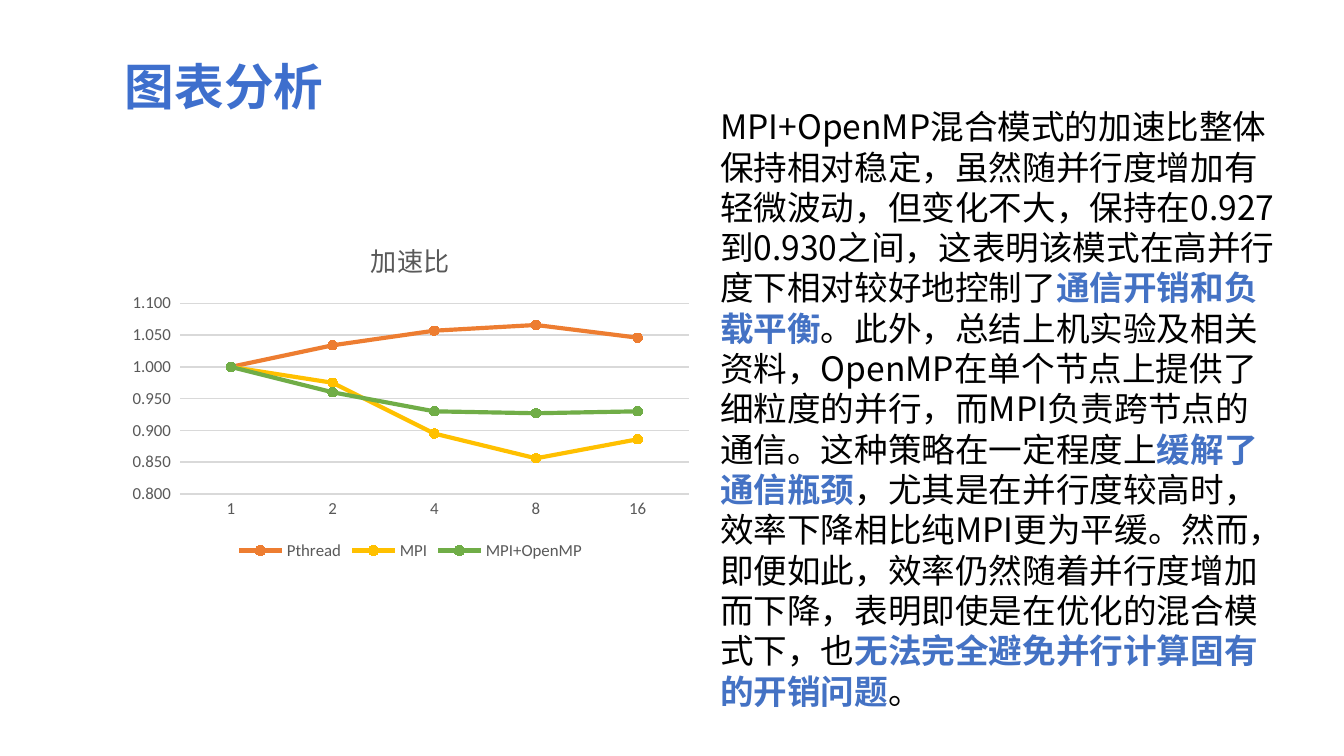
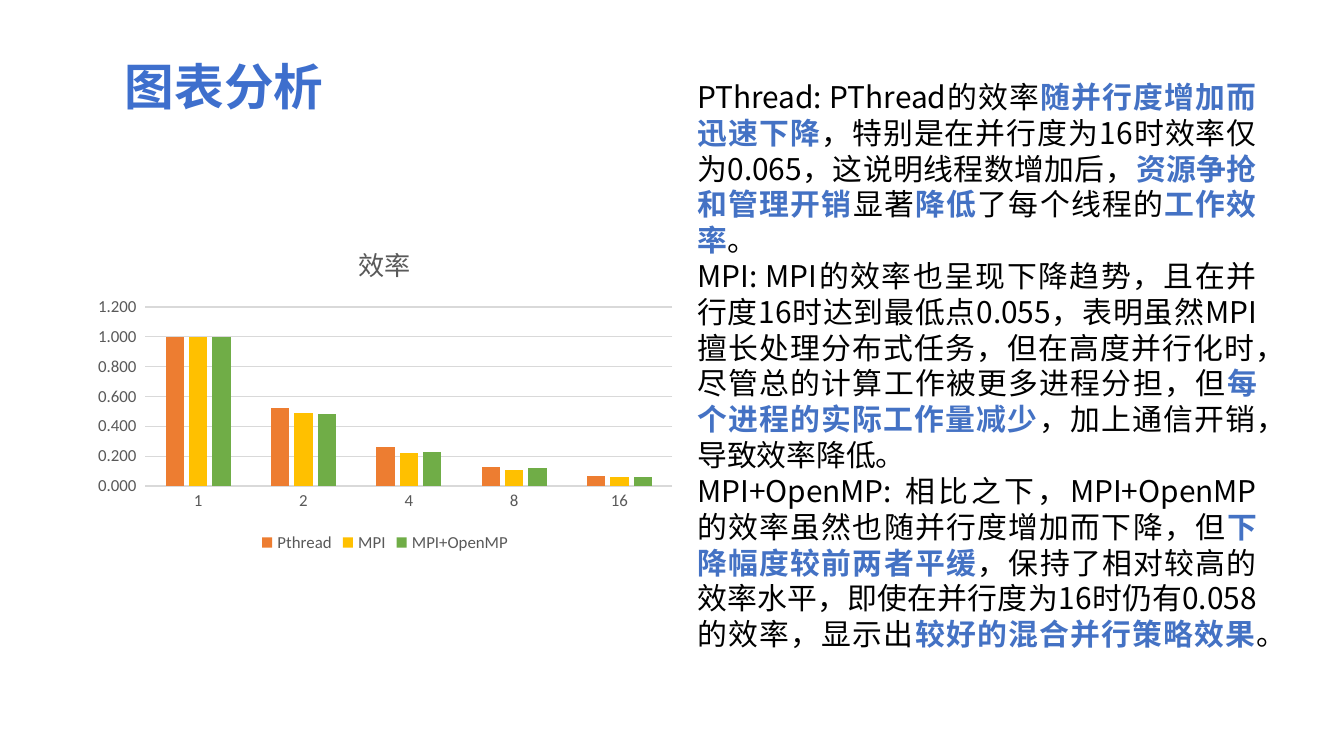
from dataclasses import dataclass

from lxml import etree
from pptx import Presentation
from pptx.chart.data import CategoryChartData
from pptx.dml.color import RGBColor
from pptx.enum.chart import XL_CHART_TYPE, XL_LEGEND_POSITION, XL_MARKER_STYLE, XL_TICK_MARK
from pptx.enum.text import MSO_ANCHOR, MSO_AUTO_SIZE, PP_ALIGN
from pptx.oxml.ns import qn
from pptx.util import Emu, Pt

LINE = XL_CHART_TYPE.LINE_MARKERS
COLUMN = XL_CHART_TYPE.COLUMN_CLUSTERED
BOTTOM = XL_LEGEND_POSITION.BOTTOM
CIRCLE = XL_MARKER_STYLE.CIRCLE
NO_TICK = XL_TICK_MARK.NONE
TOP, MIDDLE = MSO_ANCHOR.TOP, MSO_ANCHOR.MIDDLE
LEFT, JUSTIFY = PP_ALIGN.LEFT, PP_ALIGN.JUSTIFY
FIXED, GROW = MSO_AUTO_SIZE.NONE, MSO_AUTO_SIZE.SHAPE_TO_FIT_TEXT
TITLE_ONLY = 5
PX = 4572


@dataclass(frozen=True)
class Theme:
    title: str = "3E6FCD"
    accent: str = "4472C4"
    text: str = "000000"
    muted: str = "595959"
    rule: str = "D9D9D9"
    series: tuple = ("ED7D31", "FFC000", "70AD47")
    text_font: str = "Noto Sans CJK SC"
    chart_font: str = "Calibri"
    title_size: float = 26.6
    chart_title_size: int = 14
    chart_size: int = 10
    label_size: int = 9
    leading: float = 1.2


def px(*lengths):
    return [Emu(n * PX) for n in lengths]


def rgb(color):
    return RGBColor.from_string(color)


def assign(obj, values):
    for name, value in values.items():
        setattr(obj, name, value)


class Deck:
    def __init__(self, theme, width, height):
        self.theme = theme
        self.prs = Presentation()
        self.prs.slide_width, self.prs.slide_height = px(width, height)
        self.slide = None

    def font(self, font, name, size, color, bold=False):
        assign(font, {"name": name, "size": Pt(size), "bold": bold})
        font.color.rgb = rgb(color)

    def run(self, p, text, size, color, bold=False):
        r = p.add_run()
        r.text = text
        self.font(r.font, self.theme.text_font, size, color, bold)
        ea = etree.SubElement(r._r.get_or_add_rPr(), qn("a:ea"))
        ea.set("typeface", self.theme.text_font)

    def line(self, line, color, width):
        line.color.rgb = rgb(color)
        line.width = Pt(width)

    def add_slide(self, title, box):
        self.slide = self.prs.slides.add_slide(self.prs.slide_layouts[TITLE_ONLY])
        sp = self.slide.shapes.title
        assign(sp, dict(zip(("left", "top", "width", "height"), px(*box))))
        tf = sp.text_frame
        assign(tf, {"word_wrap": True, "auto_size": FIXED, "vertical_anchor": MIDDLE})
        p = tf.paragraphs[0]
        p.alignment = LEFT
        self.run(p, title, self.theme.title_size, self.theme.title, True)

    def add_text(self, box, paragraphs, size, align=LEFT):
        tf = self.slide.shapes.add_textbox(*px(*box)).text_frame
        assign(tf, {"word_wrap": True, "auto_size": GROW, "vertical_anchor": TOP})
        for i, text in enumerate(paragraphs):
            p = tf.add_paragraph() if i else tf.paragraphs[0]
            assign(p, {"alignment": align, "line_spacing": Pt(size * self.theme.leading)})
            for j, part in enumerate(text.split("*")):
                strong = j % 2 == 1
                color = self.theme.accent if strong else self.theme.text
                self.run(p, part, size, color, strong)

    def add_chart(self, kind, box, title, categories, series):
        t = self.theme
        data = CategoryChartData(number_format="0.000")
        data.categories = categories
        for name, values in series.items():
            data.add_series(name, values)
        chart = self.slide.shapes.add_chart(kind, *px(*box), data).chart
        self.font(chart.font, t.chart_font, t.chart_size, t.text)
        p = chart.chart_title.text_frame.paragraphs[0]
        self.run(p, title, t.chart_title_size, t.muted)
        chart.chart_title.include_in_layout = False
        chart.has_legend = True
        assign(chart.legend, {"position": BOTTOM, "include_in_layout": False})
        self.font(chart.legend.font, t.chart_font, t.label_size, t.muted)
        for axis in (chart.category_axis, chart.value_axis):
            assign(axis, {"major_tick_mark": NO_TICK, "minor_tick_mark": NO_TICK})
            self.font(axis.tick_labels.font, t.chart_font, t.label_size, t.muted)
        self.line(chart.category_axis.format.line, t.rule, 0.75)
        value_axis = chart.value_axis
        value_axis.format.line.fill.background()
        self.line(value_axis.major_gridlines.format.line, t.rule, 0.75)
        assign(value_axis.tick_labels,
               {"number_format": "0.000_ ", "number_format_is_linked": False})
        chart.plots[0].vary_by_categories = False
        for s, color in zip(chart.plots[0].series, t.series):
            if kind == LINE:
                self.line_series(s, color)
            else:
                self.fill(s.format, color)
        return chart

    def fill(self, fmt, color):
        fmt.fill.solid()
        fmt.fill.fore_color.rgb = rgb(color)

    def line_series(self, s, color):
        s.smooth = False
        self.line(s.format.line, color, 2.25)
        assign(s.marker, {"style": CIRCLE, "size": 5})
        self.fill(s.marker.format, color)
        self.line(s.marker.format.line, color, 0.75)


TITLE = "图表分析"
TITLE_BOX = (166, 67, 1578, 120)
CATEGORIES = ("1", "2", "4", "8", "16")
SPEEDUP = {
    "Pthread": (1, 1.034, 1.057, 1.066, 1.046),
    "MPI": (1, 0.975, 0.895, 0.856, 0.886),
    "MPI+OpenMP": (1, 0.96, 0.93, 0.927, 0.93),
}
EFFICIENCY = {
    "Pthread": (1, 0.52, 0.26, 0.13, 0.07),
    "MPI": (1, 0.49, 0.22, 0.11, 0.06),
    "MPI+OpenMP": (1, 0.48, 0.23, 0.12, 0.06),
}
SPEEDUP_TEXT = [
    "MPI+OpenMP混合模式的加速比整体保持相对稳定，虽然随并行度增加有轻微波动，但变化不大，"
    "保持在0.927到0.930之间，这表明该模式在高并行度下相对较好地控制了*通信开销和负载平衡*。"
    "此外，总结上机实验及相关资料，OpenMP在单个节点上提供了细粒度的并行，而MPI负责跨节点的通信。"
    "这种策略在一定程度上*缓解了通信瓶颈*，尤其是在并行度较高时，效率下降相比纯MPI更为平缓。"
    "然而，即便如此，效率仍然随着并行度增加而下降，表明即使是在优化的混合模式下，"
    "也*无法完全避免并行计算固有的开销问题*。",
]
EFFICIENCY_TEXT = [
    "PThread: PThread的效率*随并行度增加而迅速下降*，特别是在并行度为16时效率仅为0.065，"
    "这说明线程数增加后，*资源争抢和管理开销*显著*降低*了每个线程的*工作效率*。",
    "MPI: MPI的效率也呈现下降趋势，且在并行度16时达到最低点0.055，"
    "表明虽然MPI擅长处理分布式任务，但在高度并行化时，尽管总的计算工作被更多进程分担，"
    "但*每个进程的实际工作量减少*，加上通信开销，导致效率降低。",
    "MPI+OpenMP: 相比之下，MPI+OpenMP的效率虽然也随并行度增加而下降，"
    "但*下降幅度较前两者平缓*，保持了相对较高的效率水平，"
    "即使在并行度为16时仍有0.058的效率，显示出*较好的混合并行策略效果*。",
]


def speedup_slide(deck):
    deck.add_slide(TITLE, TITLE_BOX)
    chart = deck.add_chart(LINE, (180, 326, 862, 516), "加速比", CATEGORIES, SPEEDUP)
    chart.value_axis.minimum_scale = 0.8
    deck.add_text((1052, 148, 872, 990), SPEEDUP_TEXT, 18)


def efficiency_slide(deck):
    deck.add_slide(TITLE, TITLE_BOX)
    deck.add_text((1018, 107, 872, 996), EFFICIENCY_TEXT, 16, JUSTIFY)
    chart = deck.add_chart(COLUMN, (128, 332, 890, 498), "效率", CATEGORIES, EFFICIENCY)
    assign(chart.plots[0], {"gap_width": 219, "overlap": -27})


def main():
    deck = Deck(Theme(), 2000, 1125)
    speedup_slide(deck)
    efficiency_slide(deck)
    deck.prs.save("out.pptx")


if __name__ == "__main__":
    main()
